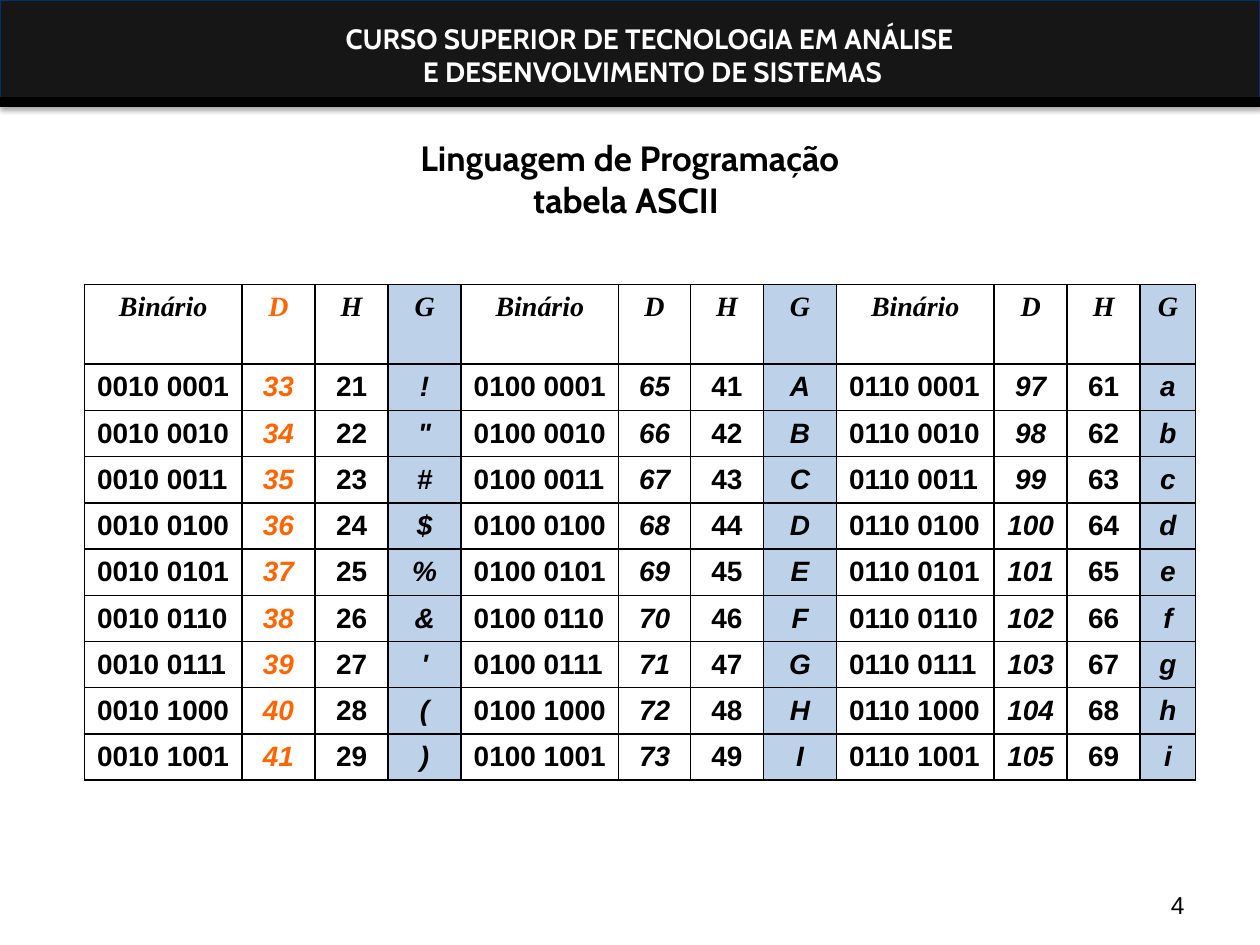
from dataclasses import dataclass

from lxml import etree
from pptx import Presentation
from pptx.dml.color import RGBColor
from pptx.enum.shapes import MSO_CONNECTOR, MSO_SHAPE
from pptx.enum.text import MSO_ANCHOR, PP_ALIGN
from pptx.oxml.ns import qn
from pptx.util import Inches, Pt

LEFT, MID, RIGHT = PP_ALIGN.LEFT, PP_ALIGN.CENTER, PP_ALIGN.RIGHT
TOP, CENTER, BOTTOM = MSO_ANCHOR.TOP, MSO_ANCHOR.MIDDLE, MSO_ANCHOR.BOTTOM
RECT, STRAIGHT = MSO_SHAPE.RECTANGLE, MSO_CONNECTOR.STRAIGHT

BLACK, WHITE, ORANGE, BLUE = "000000", "FFFFFF", "FF6600", "BDD2E9"
HEADS = ("Binário", "D", "H", "G")
STARTS = (33, 65, 97)  # first code of each column group
COUNT = 9
WIDTHS = (1.25, 0.58, 0.58, 0.58, 1.25, 0.57, 0.58, 0.58, 1.25, 0.58, 0.58, 0.44)


@dataclass(frozen=True)
class Style:
    size: float
    font: str
    color: str = BLACK
    bold: bool = False
    italic: bool = False


@dataclass(frozen=True)
class Label:
    lines: tuple[str, ...]
    box: tuple[float, float, float, float]
    style: Style
    align: PP_ALIGN = MID
    anchor: MSO_ANCHOR = TOP
    foot: float = 0.05  # bottom inset


LABELS = (
    Label(("CURSO SUPERIOR DE TECNOLOGIA EM ANÁLISE ", "E DESENVOLVIMENTO DE SISTEMAS"),
          (1.3, 0.12, 7.76, 0.64), Style(16, "Cabin", WHITE, True)),
    Label(("Linguagem de Programação", "tabela ASCII "),
          (0.5, 0.83, 9, 1.5), Style(20, "Cabin", BLACK, True), MID, CENTER, 0.38),
    Label(("4",), (7.17, 6.83, 2.33, 0.52), Style(14, "Arial"), RIGHT, BOTTOM),
)


def rgb(code: str) -> RGBColor:
    return RGBColor.from_string(code)


def add_run(para, text: str, style: Style, align: PP_ALIGN) -> None:
    para.alignment = align
    run = para.add_run()
    run.text = text
    font = run.font
    font.size, font.name = Pt(style.size), style.font
    font.bold, font.italic = style.bold, style.italic
    font.color.rgb = rgb(style.color)


def add_label(slide, label: Label) -> None:
    frame = slide.shapes.add_textbox(*map(Inches, label.box)).text_frame
    frame.word_wrap = True
    frame.vertical_anchor = label.anchor
    frame.margin_bottom = Inches(label.foot)
    for i, line in enumerate(label.lines):
        para = frame.add_paragraph() if i else frame.paragraphs[0]
        add_run(para, line, label.style, label.align)


def add_shade(shape) -> None:
    """Soft shadow straight below the shape."""
    effects = etree.SubElement(shape._element.spPr, qn("a:effectLst"))
    shade = etree.SubElement(effects, qn("a:outerShdw"), blurRad=str(Pt(3.1)),
                             dist=str(Pt(1.8)), dir="5400000", rotWithShape="0")
    color = etree.SubElement(shade, qn("a:srgbClr"), val=BLACK)
    etree.SubElement(color, qn("a:alpha"), val="35000")


def add_band(slide) -> None:
    band = slide.shapes.add_shape(RECT, 0, 0, Inches(10), Inches(0.84))
    band.fill.solid()
    band.fill.fore_color.rgb = rgb("161616")
    band.line.color.rgb = rgb("003264")
    band.line.width = Pt(0.75)
    add_shade(band)
    rule = slide.shapes.add_connector(STRAIGHT, 0, Inches(0.81), Inches(10), Inches(0.81))
    rule.line.color.rgb = rgb(BLACK)
    rule.line.width = Pt(6)
    etree.SubElement(rule._element.spPr, qn("a:effectLst"))


def add_edges(cell) -> None:
    props = cell._tc.get_or_add_tcPr()
    for i, side in enumerate(("a:lnL", "a:lnR", "a:lnT", "a:lnB")):
        edge = etree.Element(qn(side), w=str(Pt(1)))
        fill = etree.SubElement(edge, qn("a:solidFill"))
        etree.SubElement(fill, qn("a:srgbClr"), val=BLACK)
        props.insert(i, edge)


def fill_cell(cell, row: int, col: int) -> None:
    group, part = divmod(col, len(HEADS))
    code = STARTS[group] + row - 1
    bits = f"{code:08b}"
    values = (f"{bits[:4]} {bits[4:]}", str(code), f"{code:X}", chr(code))
    head = row == 0
    style = Style(16, "Times New Roman" if head else "Arial",
                  ORANGE if col == 1 else BLACK, True, head or part in (1, 3))
    align = MID if head or part else LEFT
    add_run(cell.text_frame.paragraphs[0], HEADS[part] if head else values[part], style, align)
    cell.vertical_anchor = TOP if head else CENTER
    if part == 3:
        cell.fill.solid()
        cell.fill.fore_color.rgb = rgb(BLUE)
    else:
        cell.fill.background()
    add_edges(cell)


def add_codes(slide) -> None:
    table = slide.shapes.add_table(COUNT + 1, len(WIDTHS), Inches(0.67), Inches(2.26),
                                   Inches(sum(WIDTHS)), Inches(3.93)).table
    table.first_row = table.horz_banding = False
    for col, width in zip(table.columns, WIDTHS):
        col.width = Inches(width)
    for r, row in enumerate(table.rows):
        row.height = Inches(3.3 / COUNT if r else 0.63)
        for c, cell in enumerate(row.cells):
            fill_cell(cell, r, c)


def main() -> None:
    deck = Presentation()
    deck.slide_width, deck.slide_height = Inches(10), Inches(7.5)
    slide = deck.slides.add_slide(deck.slide_layouts[6])

    # Header band
    add_band(slide)
    # Course name, title and page number
    for label in LABELS:
        add_label(slide, label)
    # Code table
    add_codes(slide)

    deck.save("out.pptx")


if __name__ == "__main__":
    main()
